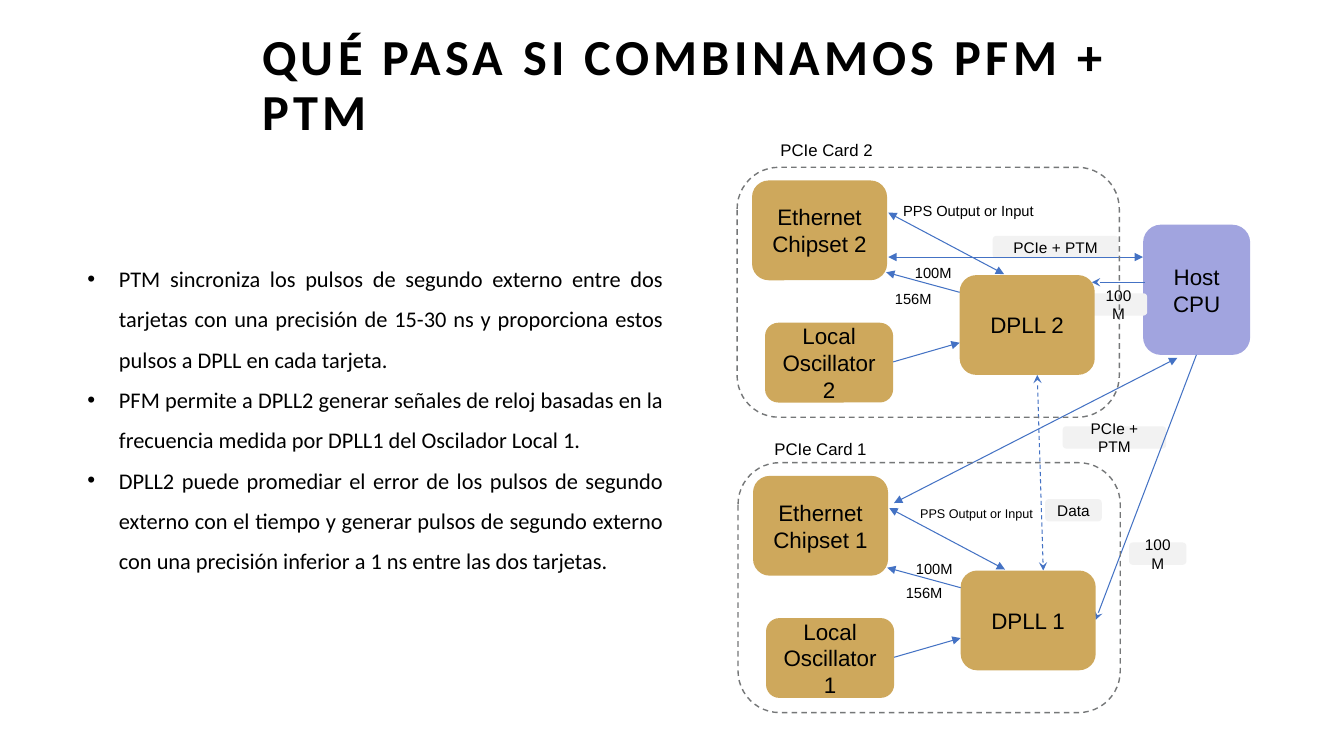
from lxml import etree
from pptx import Presentation
from pptx.dml.color import RGBColor
from pptx.enum.dml import MSO_LINE
from pptx.enum.shapes import MSO_CONNECTOR, MSO_SHAPE
from pptx.enum.text import MSO_ANCHOR, PP_ALIGN
from pptx.oxml.ns import qn
from pptx.util import Pt

ROUNDED = MSO_SHAPE.ROUNDED_RECTANGLE
STRAIGHT = MSO_CONNECTOR.STRAIGHT
DASH = MSO_LINE.DASH
TOP, MIDDLE = MSO_ANCHOR.TOP, MSO_ANCHOR.MIDDLE
LEFT, CENTER, JUSTIFY = PP_ALIGN.LEFT, PP_ALIGN.CENTER, PP_ALIGN.JUSTIFY

COLORS = {
    "text": "000000",
    "chip": "CEA85C",
    "host": "A1A4DF",
    "tag": "F2F2F2",
    "card": "757778",
    "link": "4472C4",
}

presentation = Presentation()
presentation.slide_width = Pt(960)
presentation.slide_height = Pt(540)
slide = presentation.slides.add_slide(presentation.slide_layouts[6])


def add_text(text, left, top, width, height, *, fill=None, size=16, font="Arial",
             bold=False, align=LEFT, anchor=TOP, spacing=None, margins=(7.2, 3.6)):
    """Add one paragraph per line of text, in a rounded box if a fill is named."""
    frame_size = [Pt(value) for value in (left, top, width, height)]
    if fill:
        shape = slide.shapes.add_shape(ROUNDED, *frame_size)
        shape.shadow.inherit = False
        shape.fill.solid()
        shape.fill.fore_color.rgb = RGBColor.from_string(COLORS[fill])
        shape.line.fill.background()
        align, anchor = CENTER, MIDDLE
    else:
        shape = slide.shapes.add_textbox(*frame_size)
    frame = shape.text_frame
    frame.word_wrap = True
    frame.vertical_anchor = anchor
    frame.margin_left = frame.margin_right = Pt(margins[0])
    frame.margin_top = frame.margin_bottom = Pt(margins[1])
    frame.text = text
    for paragraph in frame.paragraphs:
        paragraph.alignment = align
        paragraph.line_spacing = spacing
        for run in paragraph.runs:
            run.font.size = Pt(size)
            run.font.name = font
            run.font.bold = bold
            run.font.color.rgb = RGBColor.from_string(COLORS["text"])
    return shape


def add_link(start, end, head=None, tail=None, dash=None):
    """Draw a line with an optional arrowhead at its start (head) and end (tail)."""
    points = [Pt(value) for value in (*start, *end)]
    connector = slide.shapes.add_connector(STRAIGHT, *points)
    connector.line.color.rgb = RGBColor.from_string(COLORS["link"])
    connector.line.width = Pt(0.75)
    connector.line.dash_style = dash
    line = connector.line._get_or_add_ln()
    for tag, arrow in (("a:headEnd", head), ("a:tailEnd", tail)):
        if arrow:
            etree.SubElement(line, qn(tag), type=arrow)
    etree.SubElement(connector._element.spPr, qn("a:effectLst"))


# Title and bullets
title = add_text("QUÉ PASA SI COMBINAMOS PFM + PTM", 183.6, 42.5, 696, 39, size=36,
                 font="Calibri", bold=True, anchor=MIDDLE, spacing=0.9,
                 margins=(3.6, 1.8))
title.text_frame.paragraphs[0].runs[0].font._element.set("spc", "310")

bullets = add_text(
    "PTM sincroniza los pulsos de segundo externo entre dos tarjetas con una "
    "precisión de 15-30 ns y proporciona estos pulsos a DPLL en cada tarjeta.\n"
    "PFM permite a DPLL2 generar señales de reloj basadas en la frecuencia medida "
    "por DPLL1 del Oscilador Local 1.\n"
    "DPLL2 puede promediar el error de los pulsos de segundo externo con el tiempo "
    "y generar pulsos de segundo externo con una precisión inferior a 1 ns entre "
    "las dos tarjetas.",
    55.4, 176.4, 425.5, 240, font="Calibri", align=JUSTIFY, spacing=1.5)
for paragraph in bullets.text_frame.paragraphs:
    properties = paragraph._p.get_or_add_pPr()
    properties.set("marL", str(Pt(22.5)))
    properties.set("indent", str(-Pt(22.5)))
    bullet_color = etree.SubElement(properties, qn("a:buClr"))
    etree.SubElement(bullet_color, qn("a:srgbClr"), val=COLORS["text"])
    etree.SubElement(properties, qn("a:buFont"), typeface="Arial")
    etree.SubElement(properties, qn("a:buChar"), char="•")

# Host and its links to the cards
add_text("Host CPU", 816.5, 160.5, 76.5, 93, fill="host")
for text, left, top, width in (
    ("PCIe + PTM", 709, 168.5, 90),
    ("100M", 778.5, 209.5, 41),
    ("PCIe + PTM", 759, 304.5, 74),
    ("Data", 746.5, 356.5, 40.5),
    ("100M", 806.5, 387.5, 41),
):
    add_text(text, left, top, width, 16, fill="tag", size=11)

add_link((634.5, 183.6), (816.5, 183.6), "triangle", "triangle")
add_link((780, 201.6), (818, 201.6), "stealth")
add_link((841, 255.6), (638.6, 359.3), "triangle", "triangle")
add_link((782.6, 442.8), (854.6, 253.5), "stealth")
add_link((745.2, 407.5), (740.9, 267.8), "stealth", "stealth", DASH)

# The two cards share one layout; only these labels are placed separately
CARD_STEP = 211
cards = (
    # number, card label centre and top, 156M label, PPS label, PPS size
    (2, (590.4, 96.5), (632.2, 203.8), (638, 140.4), 10.5),
    (1, (586.1, 309.6), (640, 413.3), (650.2, 357.8), 9),
)
for index, (number, name_place, slow_place, pps_place, pps_size) in enumerate(cards):
    x = 526.5 + 0.7 * index
    y = 119.5 + CARD_STEP * index
    card = slide.shapes.add_shape(ROUNDED, Pt(x), Pt(y), Pt(273), Pt(178.5))
    card.shadow.inherit = False
    card.fill.background()
    card.line.color.rgb = RGBColor.from_string(COLORS["card"])
    card.line.width = Pt(1)
    card.line.dash_style = DASH

    add_text(f"Ethernet Chipset {number}", x + 10.7, y + 9.4, 96.5, 71.3, fill="chip")
    add_text(f"Local Oscillator {number}", x + 20, y + 111, 91.5, 57, fill="chip")
    add_text(f"DPLL {number}", x + 159, y + 77, 96.5, 71.3, fill="chip")

    add_link((x + 159, y + 89.3), (x + 106.5, y + 75), tail="triangle")
    add_link((x + 111.5, y + 139), (x + 159, y + 125.3), tail="triangle")
    add_link((x + 108, y + 32.4), (x + 190.7, y + 76.3), "triangle", "triangle")

    name_center, name_top = name_place
    add_text(f"PCIe Card {number}", name_center - 55, name_top, 110, 21.6,
             size=12, align=CENTER)
    add_text("100M", x + 120, y + 65.5, 43.2, 21, size=10.5)
    add_text("156M", *slow_place, 43.2, 21, size=10.5)
    add_text("PPS Output or Input", *pps_place, 119.5, 20, size=pps_size)

presentation.save("out.pptx")
